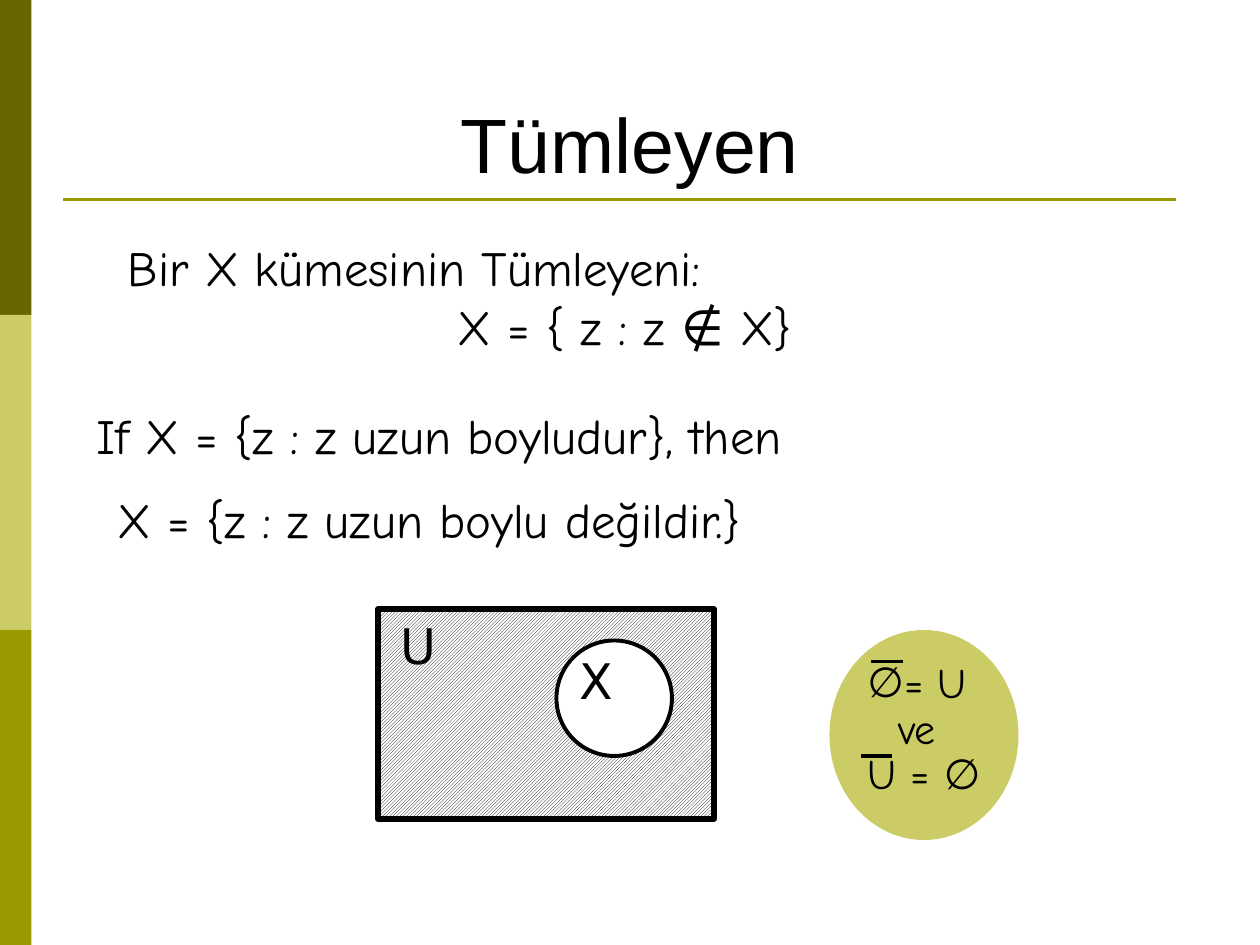
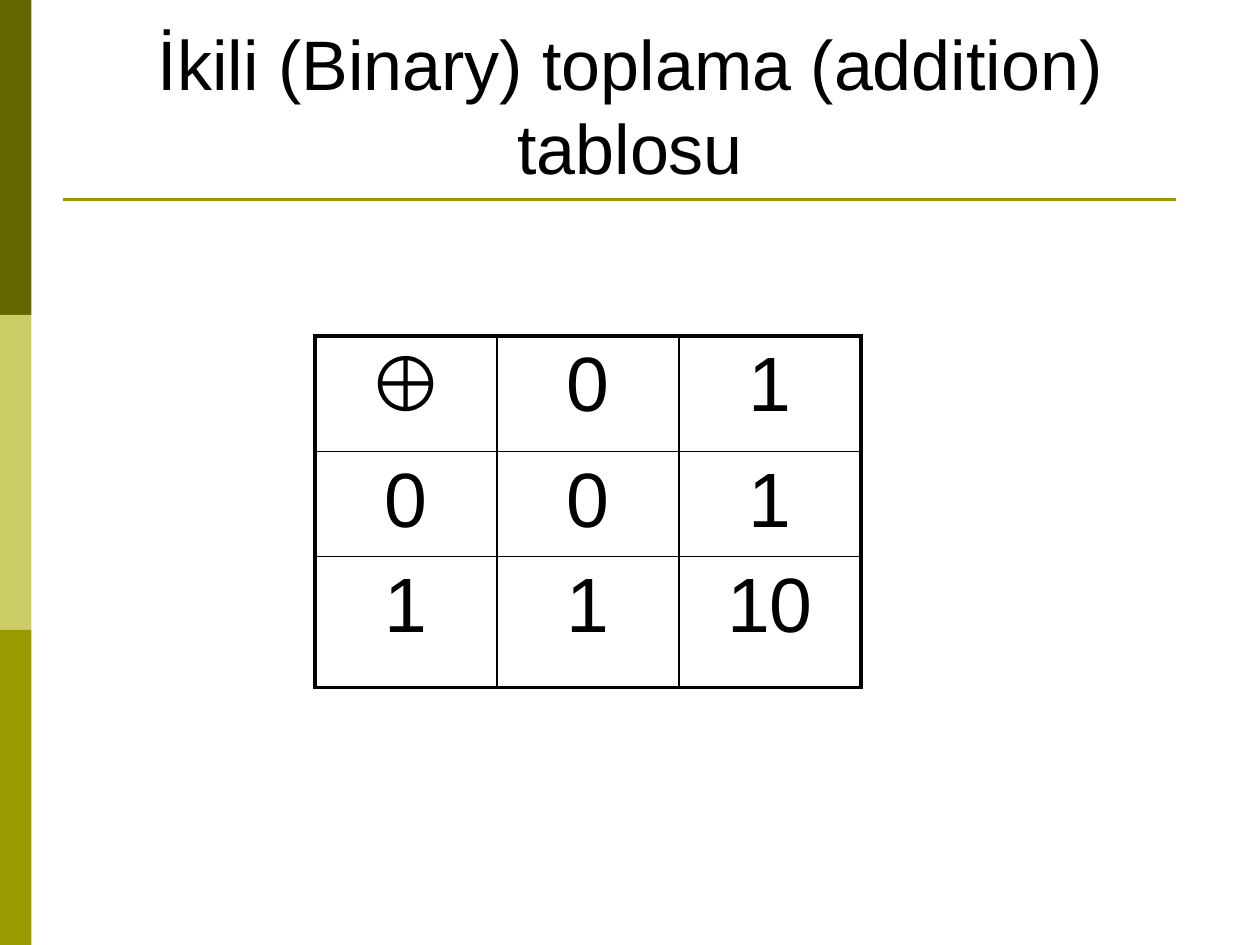
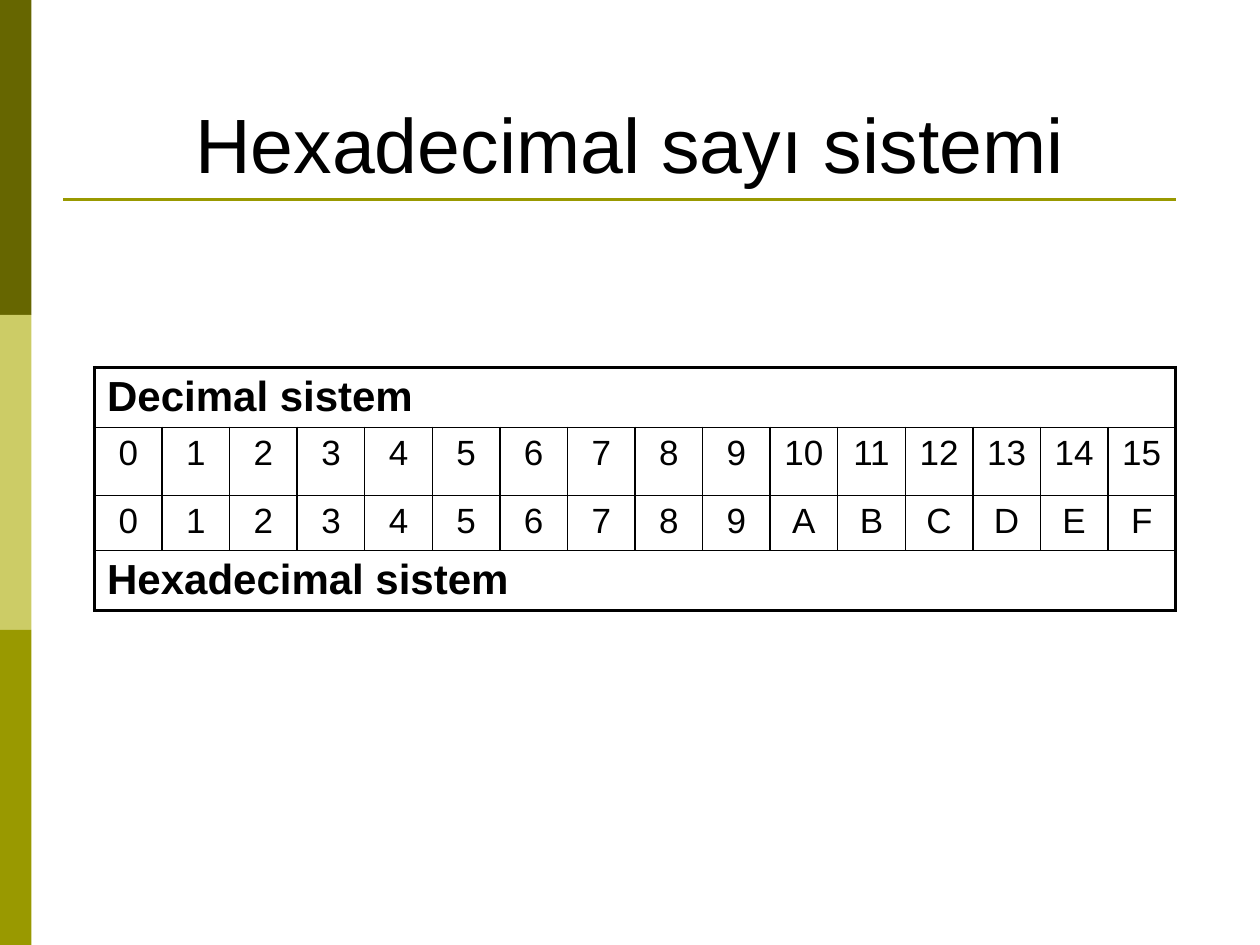
from dataclasses import dataclass

from lxml import etree
from pptx import Presentation
from pptx.dml.color import RGBColor
from pptx.enum.dml import MSO_PATTERN
from pptx.enum.shapes import MSO_CONNECTOR, MSO_SHAPE
from pptx.enum.text import MSO_ANCHOR, PP_ALIGN
from pptx.oxml.ns import qn
from pptx.util import Emu, Inches, Pt

RECTANGLE, OVAL = MSO_SHAPE.RECTANGLE, MSO_SHAPE.OVAL
LEFT, CENTER = PP_ALIGN.LEFT, PP_ALIGN.CENTER
UPWARD_HATCH = MSO_PATTERN.LIGHT_UPWARD_DIAGONAL
TITLE_ONLY = 5


@dataclass(frozen=True)
class Theme:
    black: RGBColor = RGBColor.from_string("000000")
    white: RGBColor = RGBColor.from_string("FFFFFF")
    dark: RGBColor = RGBColor.from_string("666600")
    light: RGBColor = RGBColor.from_string("CCCC66")
    olive: RGBColor = RGBColor.from_string("999900")
    main_font: str = "Arial"
    hand_font: str = "Comic Neue"
    symbol_font: str = "DejaVu Sans"
    large: int = 44
    title_small: int = 40
    body: int = 28
    label: int = 24
    digit: int = 20
    thick: float = 2.25
    thin: float = 1


theme = Theme()
COLUMNS, ROWS = 120, 90
UNIT = Inches(10) / COLUMNS


def grid(*cells):
    """Turn grid columns and rows into lengths."""
    return [Emu(round(cell * UNIT)) for cell in cells]


def write(text_frame, lines, size, font, alignments=(LEFT,), hanging=False, spacing=None, bold=False):
    """Fill a text frame; the last alignment serves all remaining lines."""
    text_frame.word_wrap = True
    text_frame.text = "\n".join(lines)
    for index, paragraph in enumerate(text_frame.paragraphs):
        paragraph.alignment = alignments[min(index, len(alignments) - 1)]
        if spacing:
            paragraph.line_spacing = spacing
        if hanging:
            properties = paragraph._p.get_or_add_pPr()
            properties.set("marL", str(Inches(0.38)))
            properties.set("indent", str(-Inches(0.38)))
        for run in paragraph.runs:
            run.font.size, run.font.name, run.font.bold = Pt(size), font, bold
            run.font.color.rgb = theme.black


presentation = Presentation()
presentation.slide_width, presentation.slide_height = grid(COLUMNS, ROWS)
layout = presentation.slide_layouts[TITLE_ONLY]
for placeholder in list(layout.placeholders)[1:]:
    layout.shapes.element.remove(placeholder.element)

# Titles
titles = [
    ("Tümleyen", theme.large),
    ("İkili (Binary) toplama (addition) tablosu", theme.title_small),
    ("Hexadecimal sayı sistemi", theme.large),
]
slides = []
for text, size in titles:
    slide = presentation.slides.add_slide(layout)
    title = slide.shapes.title
    title.left, title.top, title.width, title.height = grid(6, 3.6, 108, 15)
    write(title.text_frame, [text], size, theme.main_font, [CENTER])
    title.text_frame.vertical_anchor = MSO_ANCHOR.BOTTOM
    slides.append(slide)
complement_slide, addition_slide, hexadecimal_slide = slides

# Side bands, kept on the layout
bands = []
for index, color in enumerate((theme.dark, theme.light, theme.olive)):
    band = complement_slide.shapes.add_shape(RECTANGLE, *grid(0, index * ROWS / 3, 3, ROWS / 3))
    band.shadow.inherit = False
    band.fill.solid()
    band.fill.fore_color.rgb = color
    band.line.fill.background()
    bands.append(band)
for band in bands:
    layout.shapes.element.append(band.element)

# Slide 1: definitions
definitions = [
    ((11, 22, 97, 15), ["Bir X kümesinin Tümleyeni:", "X = { z : z ∉ X}"], (LEFT, CENTER)),
    ((8, 38, 83, 9), ["If X = {z : z uzun boyludur}, then"], (LEFT,)),
    ((10, 46, 81, 7), ["X = {z : z uzun boylu değildir.}"], (LEFT,)),
]
for cells, lines, alignments in definitions:
    box = complement_slide.shapes.add_textbox(*grid(*cells))
    write(box.text_frame, lines, theme.body, theme.hand_font, alignments, hanging=True)

# Slide 1: Venn diagram
venn = complement_slide.shapes.add_group_shape()
universe = venn.shapes.add_shape(RECTANGLE, *grid(36, 58, 32, 20))
universe.fill.patterned()
universe.fill.pattern = UPWARD_HATCH
universe.fill.fore_color.rgb = theme.black
universe.fill.back_color.rgb = theme.white
inner_set = venn.shapes.add_shape(OVAL, *grid(53, 61, 11, 11))
inner_set.fill.solid()
inner_set.fill.fore_color.rgb = theme.white
for shape, weight in ((universe, 3), (inner_set, theme.thick)):
    shape.shadow.inherit = False
    shape.line.color.rgb = theme.black
    shape.line.width = Pt(weight)
for text, cells, spacing in (("X", (54, 62, 5, 6), 0.9), ("U", (37, 58, 6, 7), None)):
    box = venn.shapes.add_textbox(*grid(*cells))
    write(box.text_frame, [text], theme.body, theme.symbol_font, hanging=True, spacing=spacing)

# Slide 1: badge with the two identities
badge = complement_slide.shapes.add_group_shape()
disc = badge.shapes.add_shape(OVAL, *grid(79, 60, 18, 20))
disc.shadow.inherit = False
disc.fill.solid()
disc.fill.fore_color.rgb = theme.light
disc.line.fill.background()
identities = badge.shapes.add_textbox(*grid(79, 62.5, 18, 14.2))
write(identities.text_frame, ["= U ", "ve ", "U = ∅"], theme.label, theme.hand_font, [CENTER], spacing=0.9)
first_properties = identities.text_frame.paragraphs[0]._p.get_or_add_pPr()
etree.SubElement(first_properties, qn("a:buFont"), typeface=theme.symbol_font)
etree.SubElement(first_properties, qn("a:buChar"), char="∅")

# Overbars of the badge and the title rule of the layout
lines = [
    (badge.element, 82, 85, 72, theme.black, theme.thick),
    (badge.element, 83, 86, 63, theme.black, theme.thick),
    (layout.shapes.element, 6, 112, 19, theme.olive, 1.5),
]
for parent, start, end, row, color, weight in lines:
    line = complement_slide.shapes.add_connector(MSO_CONNECTOR.STRAIGHT, *grid(start, row, end, row))
    line.line.color.rgb = color
    line.line.width = Pt(weight)
    etree.SubElement(line.element.spPr, qn("a:effectLst"))
    parent.append(line.element)

# Slides 2 and 3: tables
addition = [["⊕", "0", "1"], ["0", "0", "1"], ["1", "1", "10"]]
digits = "0123456789ABCDEF"
systems = [
    ["Decimal sistem"],
    [str(number) for number in range(len(digits))],
    list(digits),
    ["Hexadecimal sistem"],
]
tables = [
    (addition_slide, addition, (30, 32, 52), (11, 10, 12.5), theme.large),
    (hexadecimal_slide, systems, (9, 35, 103), (5.7, 6.5, 5.25, 5.7), theme.digit),
]
for slide, contents, (left, top, width), heights, size in tables:
    column_count = max(map(len, contents))
    row_count = len(contents)
    frame = slide.shapes.add_table(row_count, column_count, *grid(left, top, width, sum(heights)))
    table = frame.table
    table.first_row = table.horz_banding = False
    for column in table.columns:
        column.width = grid(width / column_count)[0]
    for row_index, (values, height) in enumerate(zip(contents, heights)):
        table.rows[row_index].height = grid(height)[0]
        is_heading = len(values) == 1
        if is_heading:
            table.cell(row_index, 0).merge(table.cell(row_index, column_count - 1))
        for column_index in range(column_count):
            cell = table.cell(row_index, column_index)
            outer_edges = {
                "a:lnL": column_index == 0,
                "a:lnR": is_heading or column_index == column_count - 1,
                "a:lnT": row_index == 0,
                "a:lnB": row_index == row_count - 1,
            }
            for edge, is_outer in outer_edges.items():
                weight = Pt(theme.thick if is_outer else theme.thin)
                border = etree.SubElement(cell._tc.get_or_add_tcPr(), qn(edge), w=str(weight))
                fill = etree.SubElement(border, qn("a:solidFill"))
                etree.SubElement(fill, qn("a:srgbClr"), val=str(theme.black))
            cell.fill.background()
            if column_index < len(values):
                write(
                    cell.text_frame,
                    [values[column_index]],
                    theme.label if is_heading else size,
                    theme.main_font,
                    [LEFT if is_heading else CENTER],
                    bold=is_heading,
                )

presentation.save("out.pptx")
